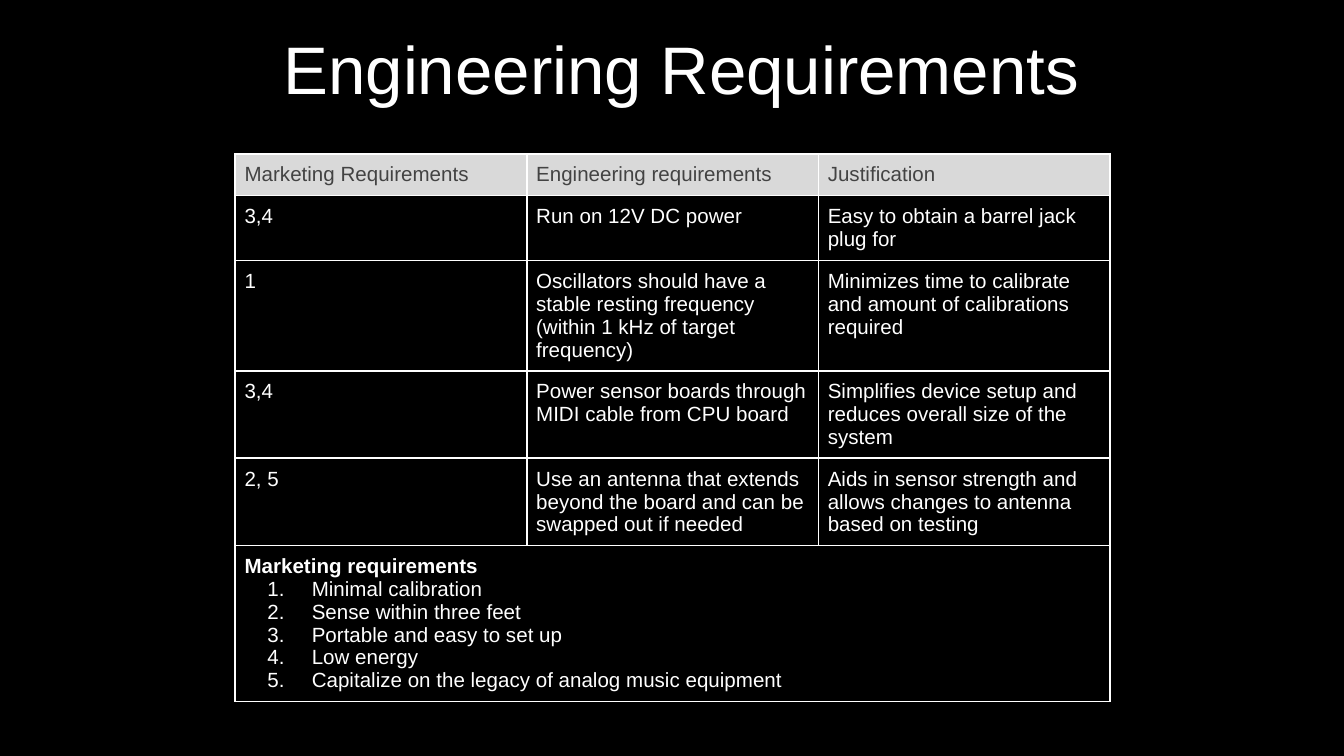
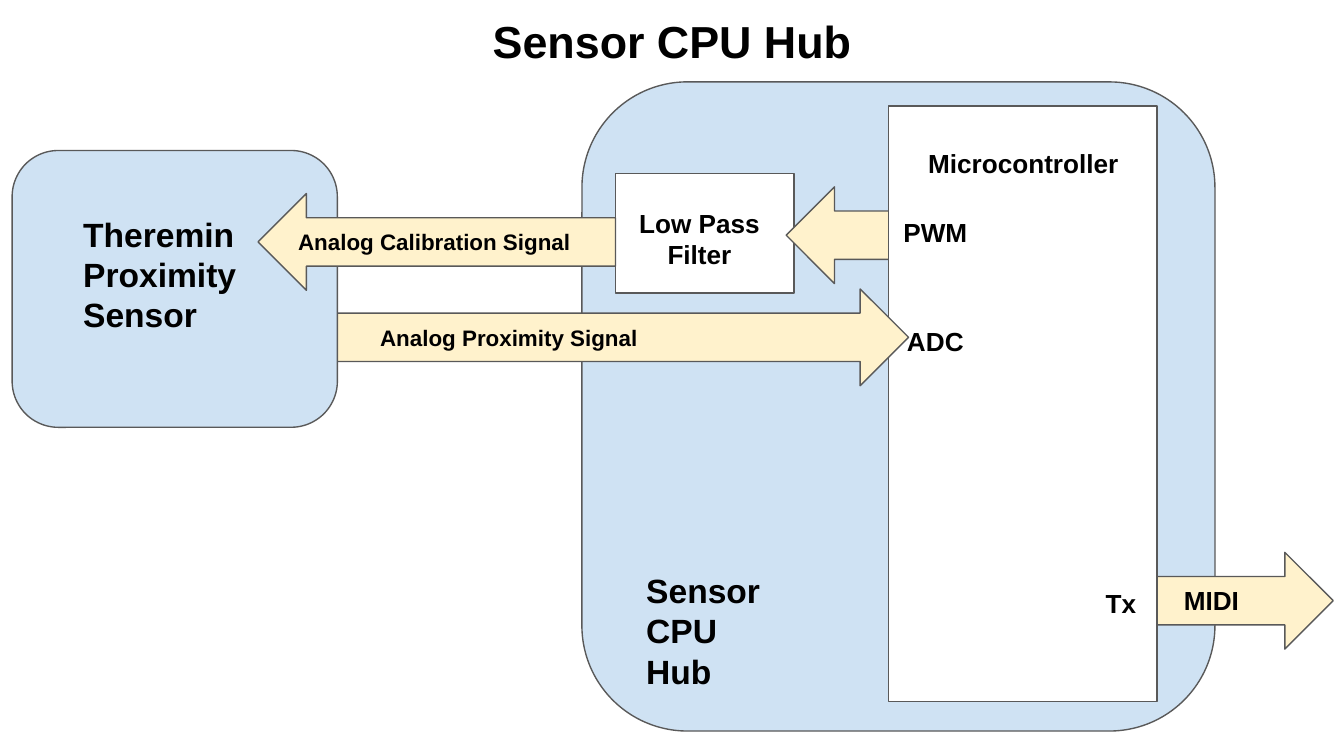
from dataclasses import dataclass

from lxml import etree
from pptx import Presentation
from pptx.dml.color import RGBColor
from pptx.enum.shapes import MSO_SHAPE as Shape
from pptx.enum.text import MSO_ANCHOR as Anchor, PP_ALIGN as Align
from pptx.oxml.ns import qn
from pptx.util import Pt

PX = 4572  # EMU; 200 px to the inch


@dataclass(frozen=True)
class Theme:
    font: str = "Arial"
    black: str = "000000"
    white: str = "FFFFFF"
    header_fill: str = "D9D9D9"
    header_text: str = "434343"
    block: str = "CFE2F3"
    signal: str = "FFF2CC"
    outline: str = "595959"
    outline_width: float = 0.75
    border_width: float = 1
    table_title: float = 36
    diagram_title: float = 24
    block_name: float = 18
    part_name: float = 14
    signal_name: float = 12
    table_text: float = 11


@dataclass(frozen=True)
class Box:
    x: int
    y: int
    w: int
    h: int

    def at(self, x, y, w, h):
        """Box whose offset is measured from this box's corner."""
        return Box(self.x + x, self.y + y, w, h)

    def emu(self):
        return [side * PX for side in (self.x, self.y, self.w, self.h)]


THEME = Theme()
PAGE = Box(0, 0, 2000, 1125)

HEADINGS = ["Marketing Requirements", "Engineering requirements", "Justification"]
REQUIREMENTS = [
    ["3,4", "Run on 12V DC power", "Easy to obtain a barrel jack plug for"],
    ["1",
     "Oscillators should have a stable resting frequency (within 1 kHz of target frequency)",
     "Minimizes time to calibrate and amount of calibrations required"],
    ["3,4", "Power sensor boards through MIDI cable from CPU board",
     "Simplifies device setup and reduces overall size of the system"],
    ["2, 5",
     "Use an antenna that extends beyond the board and can be swapped out if needed",
     "Aids in sensor strength and allows changes to antenna based on testing"],
]
MARKETING_GOALS = [
    "Minimal calibration",
    "Sense within three feet",
    "Portable and easy to set up",
    "Low energy",
    "Capitalize on the legacy of analog music equipment",
]
ROW_HEIGHTS = [61, 97, 164, 130, 130, 232]


def rgb(color):
    return RGBColor.from_string(color)


def write(frame, *lines, size, color=THEME.black, bold=False, align=Align.LEFT):
    """Fill a text frame with one paragraph per line, all in one format."""
    for index, line in enumerate(lines):
        paragraph = frame.paragraphs[0] if index == 0 else frame.add_paragraph()
        paragraph.text = line
        paragraph.alignment = align
        for run in paragraph.runs:
            run.font.name = THEME.font
            run.font.size = Pt(size)
            run.font.bold = bold
            run.font.color.rgb = rgb(color)


def add_label(slide, box, *lines, anchor=Anchor.TOP, **style):
    frame = slide.shapes.add_textbox(*box.emu()).text_frame
    frame.word_wrap = True
    frame.vertical_anchor = anchor
    frame.margin_left = frame.margin_right = 20 * PX
    frame.margin_top = frame.margin_bottom = 20 * PX
    write(frame, *lines, **style)


def add_block(slide, kind, box, fill):
    block = slide.shapes.add_shape(kind, *box.emu())
    block.shadow.inherit = False
    block.fill.solid()
    block.fill.fore_color.rgb = rgb(fill)
    block.line.color.rgb = rgb(THEME.outline)
    block.line.width = Pt(THEME.outline_width)


def add_slide(deck, background):
    slide = deck.slides.add_slide(deck.slide_layouts[6])
    slide.background.fill.solid()
    slide.background.fill.fore_color.rgb = rgb(background)
    return slide


def add_borders(cell):
    properties = cell._tc.get_or_add_tcPr()
    for side in ("lnL", "lnR", "lnT", "lnB"):
        line = etree.SubElement(properties, qn(f"a:{side}"), w=str(Pt(THEME.border_width)))
        fill = etree.SubElement(line, qn("a:solidFill"))
        etree.SubElement(fill, qn("a:srgbClr"), val=THEME.white)


def number(paragraph):
    """Turn a paragraph into an item of a numbered list."""
    properties = paragraph._p.get_or_add_pPr()
    properties.set("marL", str(100 * PX))
    properties.set("indent", str(-66 * PX))
    color = etree.SubElement(properties, qn("a:buClr"))
    etree.SubElement(color, qn("a:srgbClr"), val=THEME.white)
    etree.SubElement(properties, qn("a:buAutoNum"), type="arabicPeriod")


def draw_requirements_table(slide, box):
    rows = [HEADINGS, *REQUIREMENTS]
    table = slide.shapes.add_table(len(ROW_HEIGHTS), len(HEADINGS), *box.emu()).table
    table.first_row = table.horz_banding = False
    for row, height in zip(table.rows, ROW_HEIGHTS):
        row.height = height * PX
    for column in table.columns:
        column.width = box.w * PX // len(HEADINGS)

    for cell in table.iter_cells():
        cell.margin_left = cell.margin_right = 14 * PX
        cell.margin_top = cell.margin_bottom = 14 * PX
        add_borders(cell)
        cell.fill.background()

    for r, texts in enumerate(rows):
        for c, text in enumerate(texts):
            cell = table.cell(r, c)
            if r == 0:
                cell.fill.solid()
                cell.fill.fore_color.rgb = rgb(THEME.header_fill)
            write(cell.text_frame, text, size=THEME.table_text,
                  color=THEME.header_text if r == 0 else THEME.white)

    goals = table.cell(len(rows), 0)
    goals.merge(table.cell(len(rows), len(HEADINGS) - 1))
    frame = goals.text_frame
    write(frame, "Marketing requirements", *MARKETING_GOALS,
          size=THEME.table_text, color=THEME.white)
    frame.paragraphs[0].runs[0].font.bold = True
    for goal in frame.paragraphs[1:]:
        number(goal)


def draw_signal(slide, arrow, box, name="", name_box=None, size=THEME.signal_name):
    add_block(slide, arrow, box, THEME.signal)
    if name:
        add_label(slide, name_box, name, size=size, bold=True, anchor=Anchor.MIDDLE)


def draw_sensor(slide, box):
    add_block(slide, Shape.ROUNDED_RECTANGLE, box, THEME.block)
    add_label(slide, box.at(86, 74, 282, 220), "Theremin\vProximity", "Sensor",
              size=THEME.block_name, bold=True)


def draw_microcontroller(slide, box):
    add_block(slide, Shape.RECTANGLE, box, THEME.white)
    for name, x, y, width in (("Microcontroller", 34, 42, 334), ("PWM", 0, 144, 140),
                              ("ADC", 0, 306, 140), ("Tx", 276, 696, 140)):
        add_label(slide, box.at(x, y, width, 78), name,
                  size=THEME.part_name, bold=True, align=Align.CENTER)


def draw_hub(slide, box):
    add_block(slide, Shape.ROUNDED_RECTANGLE, box, THEME.block)
    add_block(slide, Shape.RECTANGLE, box.at(50, 136, 266, 178), THEME.white)
    draw_signal(slide, Shape.LEFT_ARROW, box.at(304, 156, 180, 144))
    midi = box.at(742, 700, 376, 144)
    draw_signal(slide, Shape.RIGHT_ARROW, midi, "MIDI",
                midi.at(134, 4, 214, 134), THEME.part_name)
    draw_microcontroller(slide, box.at(456, 36, 400, 886))
    add_label(slide, box.at(42, 166, 266, 134), "Low Pass Filter",
              size=THEME.part_name, bold=True, align=Align.CENTER)
    add_label(slide, box.at(76, 706, 282, 220), "Sensor\vCPU", "Hub",
              size=THEME.block_name, bold=True)


def requirements_slide(deck, page):
    slide = add_slide(deck, THEME.black)
    draw_requirements_table(slide, page.at(350, 229, 1302, sum(ROW_HEIGHTS)))
    add_label(slide, page.at(87, 20, 1854, 288), "Engineering Requirements",
              size=THEME.table_title, color=THEME.white, align=Align.CENTER)


def hub_slide(deck, page):
    slide = add_slide(deck, THEME.white)
    draw_hub(slide, page.at(866, 122, 942, 966))
    proximity = page.at(388, 430, 964, 144)
    draw_signal(slide, Shape.RIGHT_ARROW, proximity, "Analog Proximity Signal",
                proximity.at(158, 6, 456, 134))
    draw_sensor(slide, page.at(18, 224, 484, 412))
    add_label(slide, page.at(0, 0, page.w, 178), "Sensor CPU Hub",
              size=THEME.diagram_title, bold=True, align=Align.CENTER)
    calibration = page.at(384, 288, 532, 144)
    draw_signal(slide, Shape.LEFT_ARROW, calibration, "Analog Calibration Signal",
                calibration.at(40, 4, 520, 134))


def main():
    deck = Presentation()
    deck.slide_width, deck.slide_height = PAGE.w * PX, PAGE.h * PX
    requirements_slide(deck, PAGE)
    hub_slide(deck, PAGE)
    deck.save("out.pptx")


if __name__ == "__main__":
    main()
